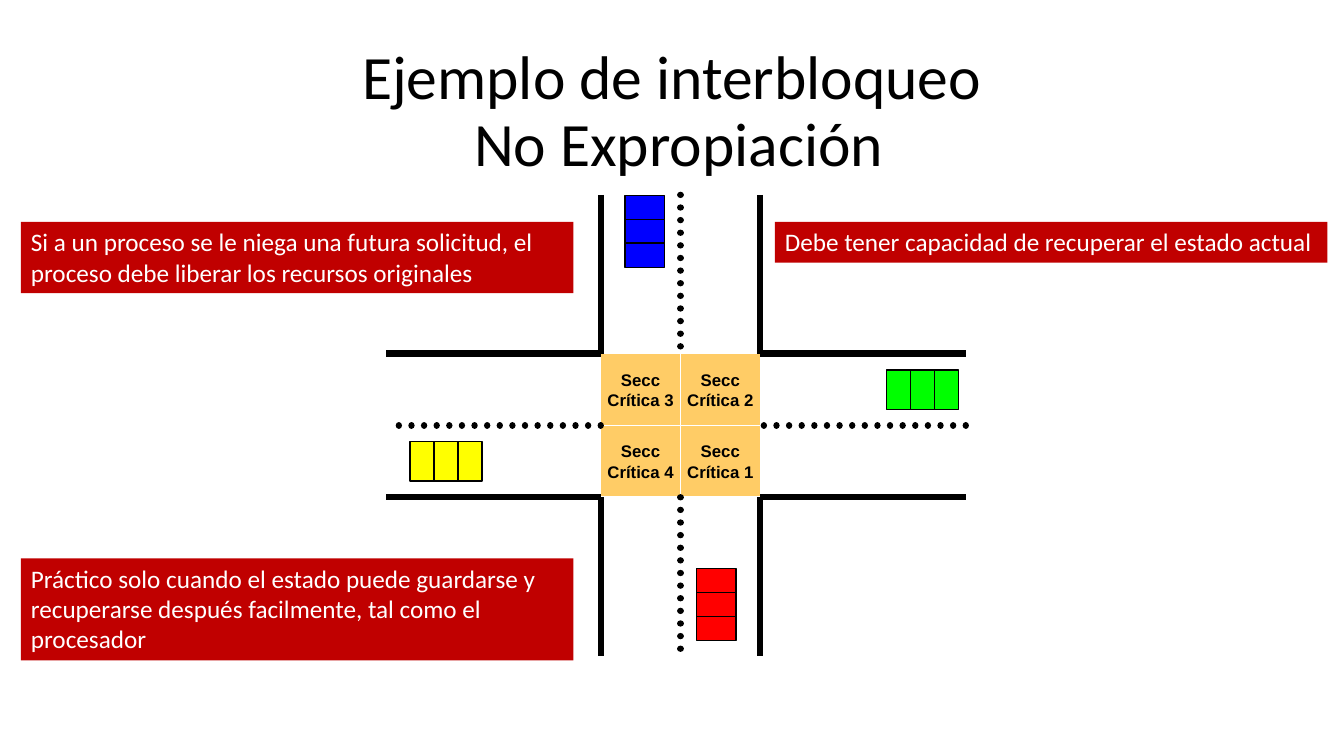
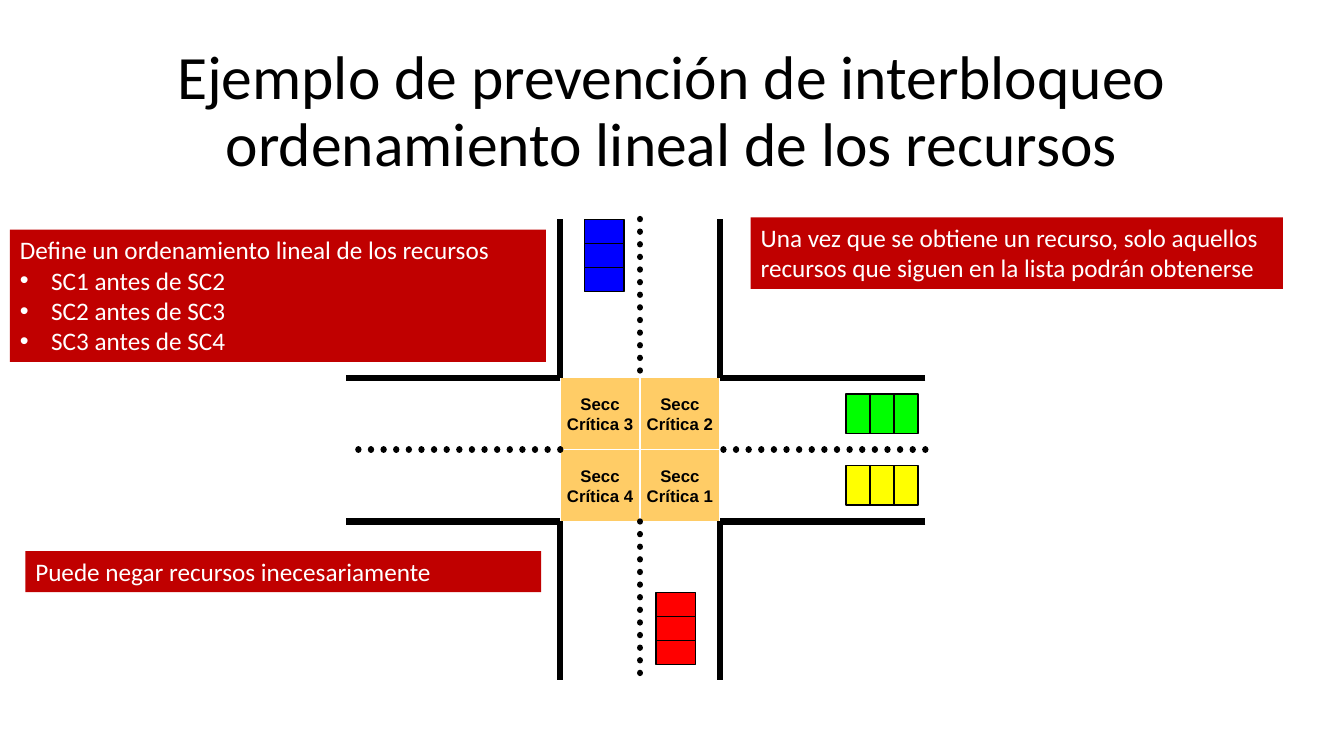
from dataclasses import dataclass

from lxml import etree
from pptx import Presentation
from pptx.dml.color import RGBColor
from pptx.enum.dml import MSO_LINE
from pptx.enum.shapes import MSO_CONNECTOR, MSO_SHAPE
from pptx.enum.text import MSO_ANCHOR, MSO_AUTO_SIZE, PP_ALIGN
from pptx.oxml.ns import qn
from pptx.util import Cm, Pt

RECTANGLE = MSO_SHAPE.RECTANGLE
STRAIGHT = MSO_CONNECTOR.STRAIGHT
DOTTED = MSO_LINE.ROUND_DOT
LEFT, CENTER = PP_ALIGN.LEFT, PP_ALIGN.CENTER
TOP, MIDDLE = MSO_ANCHOR.TOP, MSO_ANCHOR.MIDDLE
GROW, FIXED = MSO_AUTO_SIZE.SHAPE_TO_FIT_TEXT, MSO_AUTO_SIZE.NONE


@dataclass(frozen=True)
class Theme:
    font: str = "Calibri"
    label_font: str = "Arial"
    title_size: int = 44
    note_size: int = 18
    label_size: int = 12
    ink: str = "000000"
    paper: str = "FFFFFF"
    note: str = "C00000"
    section: str = "FFCC66"
    red: str = "FF0000"
    blue: str = "0000FF"
    green: str = "00FF00"
    yellow: str = "FFFF00"
    road_width: float = 4.5
    outline: float = 1


theme = Theme()


def write(frame, text, *, size, color, font=theme.font, bold=False, align=LEFT,
          anchor=TOP, fit=FIXED, wrap=True, spacing=None, bullets_from=None):
    frame.word_wrap = wrap
    frame.auto_size = fit
    frame.vertical_anchor = anchor
    for index, line in enumerate(text.split("\n")):
        para = frame.add_paragraph() if index else frame.paragraphs[0]
        para.text = line
        para.alignment = align
        if spacing:
            para.line_spacing = spacing
        if bullets_from is not None and index >= bullets_from:
            layout = para._p.get_or_add_pPr()
            layout.set("marL", str(Cm(0.79)))
            layout.set("indent", str(-Cm(0.79)))
            etree.SubElement(layout, qn("a:buFont")).set("typeface", "Arial")
            etree.SubElement(layout, qn("a:buChar")).set("char", "•")
        for span in para.runs:
            span.font.name = font
            span.font.size = Pt(size)
            span.font.bold = bold
            span.font.color.rgb = RGBColor.from_string(color)


def add_box(shapes, left, top, width, height, fill, line=None):
    box = shapes.add_shape(RECTANGLE, Cm(left), Cm(top), Cm(width), Cm(height))
    box.shadow.inherit = False
    box.fill.solid()
    box.fill.fore_color.rgb = RGBColor.from_string(fill)
    if line:
        box.line.color.rgb = RGBColor.from_string(line)
        box.line.width = Pt(theme.outline)
    else:
        box.line.fill.background()
    return box


SECTION_WIDTH, SECTION_HEIGHT = 2.01, 1.81
CAR_WIDTH, CAR_LENGTH, CABIN_LENGTH = 1, 1.81, 0.6
SECTIONS = [(0, 0, 1), (-1, -1, 3), (0, -1, 2), (-1, 0, 4)]
ROADS = [(0, -1, 4, True), (0, 1, 4, False), (-1, 0, 5.4, False), (1, 0, 5.18, True)]
SHARED_CARS = [
    (0.9, 4.51, 0, theme.red),
    (-0.9, -4.89, 0, theme.blue),
    (6.1, -0.9, 270, theme.green),
]

SLIDES = [
    {
        "title": "Ejemplo de interbloqueo\v No Expropiación",
        "center": (17.15, 10.72),
        "yellow_car": -5.91,
        "notes": [
            (0.53, 5.59, 13.92, 1.8, None,
             "Si a un proceso se le niega una futura solicitud, el proceso debe "
             "liberar los recursos originales"),
            (19.53, 5.59, 13.92, 1.03, None,
             "Debe tener capacidad de recuperar el estado actual"),
            (0.53, 14.07, 13.92, 2.57, None,
             "Práctico solo cuando el estado puede guardarse y recuperarse después "
             "facilmente, tal como el procesador"),
        ],
    },
    {
        "title": "Ejemplo de prevención de interbloqueo\vordenamiento lineal de los recursos",
        "center": (16.13, 11.33),
        "yellow_car": 6.1,
        "notes": [
            (0.25, 5.79, 13.51, 3.33, 1,
             "Define un ordenamiento lineal de los recursos\nSC1 antes de SC2\n"
             "SC2 antes de SC3\nSC3 antes de SC4"),
            (18.92, 5.48, 13.41, 1.8, None,
             "Una vez que se obtiene un recurso, solo aquellos recursos que siguen "
             "en la lista podrán obtenerse"),
            (0.64, 13.89, 13, 1.03, None, "Puede negar recursos inecesariamente"),
        ],
    },
]

deck = Presentation()
deck.slide_width, deck.slide_height = Cm(33.87), Cm(19.05)
title_only = deck.slide_layouts[5]

for content in SLIDES:
    page = deck.slides.add_slide(title_only)
    title = page.shapes.title
    title.left, title.top, title.width, title.height = Cm(2.33), Cm(1.01), Cm(29.21), Cm(3.68)
    write(title.text_frame, content["title"], size=theme.title_size, color=theme.ink,
          align=CENTER, anchor=MIDDLE, spacing=0.9)
    center_x, center_y = content["center"]

    for column, row, number in SECTIONS:
        section = add_box(page.shapes, center_x + column * SECTION_WIDTH,
                          center_y + row * SECTION_HEIGHT, SECTION_WIDTH, SECTION_HEIGHT,
                          theme.section, theme.paper)
        write(section.text_frame, f"Secc\nCrítica {number}", size=theme.label_size,
              color=theme.ink, font=theme.label_font, bold=True, align=CENTER,
              anchor=MIDDLE, wrap=False)

    for across, down, reach, inward in ROADS:
        for side in (-1, 1, 0):
            near_x = center_x + (across or side) * SECTION_WIDTH
            near_y = center_y + (down or side) * SECTION_HEIGHT
            ends = [(near_x, near_y), (near_x + across * reach, near_y + down * reach)]
            if inward:
                ends.reverse()
            (start_x, start_y), (end_x, end_y) = ends
            road = page.shapes.add_connector(STRAIGHT, Cm(start_x), Cm(start_y),
                                             Cm(end_x), Cm(end_y))
            road.line.color.rgb = RGBColor.from_string(theme.ink)
            road.line.width = Pt(theme.road_width)
            if side == 0:
                road.line.dash_style = DOTTED
                road.line._get_or_add_ln().set("cap", "rnd")
            etree.SubElement(road._element.spPr, qn("a:effectLst"))

    for offset_x, offset_y, rotation, color in SHARED_CARS + [
            (content["yellow_car"], 0.9, 270, theme.yellow)]:
        car = page.shapes.add_group_shape()
        for length in (CAR_LENGTH, CABIN_LENGTH):
            part = add_box(car.shapes, center_x + offset_x - CAR_WIDTH / 2,
                           center_y + offset_y - length / 2, CAR_WIDTH, length,
                           color, theme.ink)
            part.rotation = rotation

    for left, top, width, height, bullets_from, text in content["notes"]:
        note = add_box(page.shapes, left, top, width, height, theme.note)
        write(note.text_frame, text, size=theme.note_size, color=theme.paper,
              fit=GROW, bullets_from=bullets_from)

deck.save("out.pptx")
